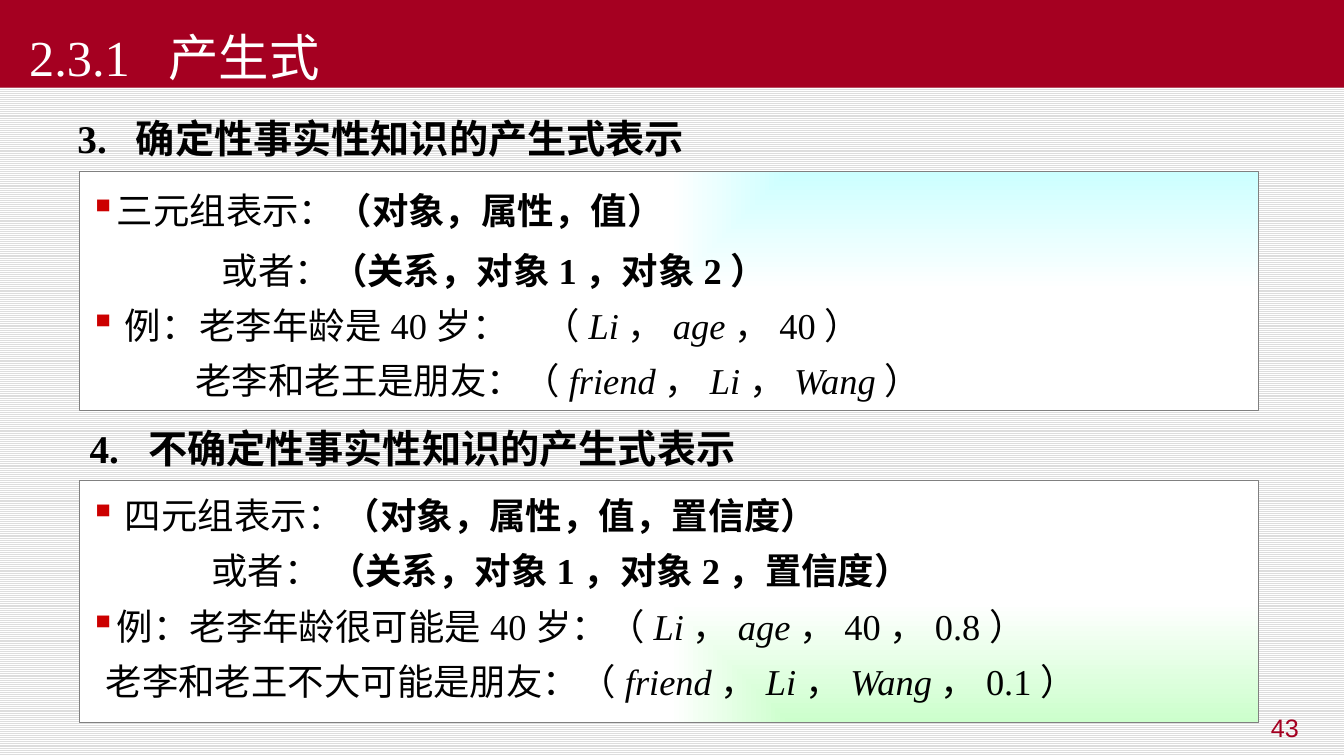
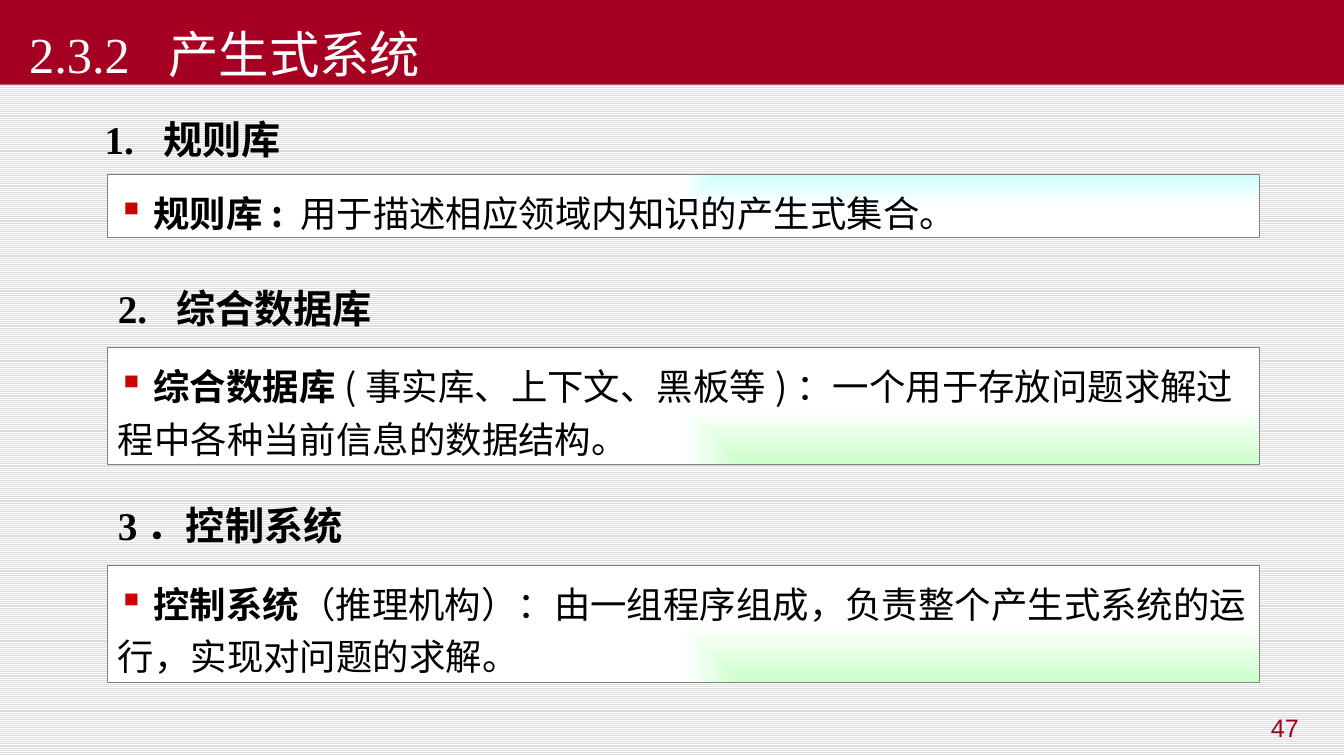
from dataclasses import dataclass

from lxml.etree import SubElement
from pptx import Presentation
from pptx.dml.color import RGBColor
from pptx.enum.dml import MSO_PATTERN
from pptx.enum.shapes import MSO_SHAPE as Shape
from pptx.enum.text import MSO_ANCHOR as Anchor, PP_ALIGN as Align
from pptx.oxml.ns import qn
from pptx.util import Inches, Pt

CRIMSON = "A50021"
RED = "CC0000"
CYAN = "CCFFFF"
GREEN = "CCFFCC"
WHITE = "FFFFFF"
BLACK = "000000"
GRAY = "808080"
STRIPE = "DDDDDD"
SERIF = "Times New Roman"
CHINESE = "Noto Sans CJK SC"
SANS = "Arial"
LINE_HEIGHT = 1.2
BODY_SIZE = 26
WIDTH = 13.33


@dataclass
class Line:
    spans: list
    bullet: bool = False
    margin: float = 0
    hang: float = 0
    tabs: tuple = ()
    spacing: float = 1.1


def color(value):
    return RGBColor.from_string(value)


def add_span(para, text, size=BODY_SIZE, face=SERIF, ink=BLACK, bold=False, italic=False):
    span = para.add_run()
    span.text = text
    font = span.font
    font.size = Pt(size)
    font.bold = bold
    font.italic = italic
    font.color.rgb = color(ink)
    font.name = face
    SubElement(font._element, qn("a:ea")).set("typeface", CHINESE)


def format_para(para, line, size):
    para.alignment = Align.LEFT
    para.line_spacing = Pt(round(size * LINE_HEIGHT * line.spacing, 1))
    props = para._p.get_or_add_pPr()
    props.set("marL", str(Inches(line.margin)))
    props.set("indent", str(Inches(-line.hang)))
    if line.bullet:
        tint = SubElement(props, qn("a:buClr"))
        SubElement(tint, qn("a:srgbClr")).set("val", RED)
        SubElement(props, qn("a:buChar")).set("char", "▪")
    else:
        SubElement(props, qn("a:buNone"))
    if line.tabs:
        stops = SubElement(props, qn("a:tabLst"))
        for position in line.tabs:
            stop = SubElement(stops, qn("a:tab"))
            stop.set("pos", str(Inches(position)))
            stop.set("algn", "l")


def set_frame(box, top=0.08, bottom=0.05, anchor=Anchor.TOP):
    frame = box.text_frame
    frame.word_wrap = True
    frame.vertical_anchor = anchor
    frame.margin_top = Inches(top)
    frame.margin_bottom = Inches(bottom)
    return frame


def add_rectangle(page, left, top, width, height):
    box = page.shapes.add_shape(
        Shape.RECTANGLE, Inches(left), Inches(top), Inches(width), Inches(height))
    box.shadow.inherit = False
    return box


def add_title(page, text, height):
    band = add_rectangle(page, 0, 0, WIDTH, height)
    band.fill.solid()
    band.fill.fore_color.rgb = color(CRIMSON)
    band.line.fill.background()
    para = set_frame(band, bottom=0.01, anchor=Anchor.BOTTOM).paragraphs[0]
    format_para(para, Line([], margin=1.57, hang=1.38, spacing=1), 36)
    add_span(para, text, size=36, ink=WHITE)


def add_heading(page, text, left, top, spacing=1.1):
    box = page.shapes.add_textbox(Inches(left), Inches(top), Inches(8.4), Inches(0.6))
    para = set_frame(box).paragraphs[0]
    format_para(para, Line([], margin=0.58, hang=0.58, spacing=spacing), 28)
    add_span(para, text, size=28, bold=True)


def fill_from_corner(box, tint, corner):
    box.fill.gradient()
    for stop, value, position in zip(box.fill.gradient_stops, (tint, WHITE), (0, 1)):
        stop.color.rgb = color(value)
        stop.position = position
    gradient = box._element.spPr.find(qn("a:gradFill"))
    gradient.remove(gradient.find(qn("a:lin")))
    focus = SubElement(gradient, qn("a:path"))
    focus.set("path", "rect")
    target = SubElement(focus, qn("a:fillToRect"))
    for side in corner:
        target.set(side, "100000")


def add_panel(page, left, top, width, height, tint, lines, face=SERIF):
    panel = add_rectangle(page, left, top, width, height)
    fill_from_corner(panel, tint, "lb" if tint == CYAN else "lt")
    panel.line.color.rgb = color(GRAY)
    panel.line.width = Pt(0.75)
    frame = set_frame(panel)
    for index, line in enumerate(lines):
        para = frame.add_paragraph() if index else frame.paragraphs[0]
        format_para(para, line, BODY_SIZE)
        if index:
            para.space_before = Pt(5.2)
        for text, style in line.spans:
            add_span(para, text, face=face, bold=style == "b", italic=style == "i")


def add_number(page, number):
    box = page.shapes.add_textbox(Inches(9.87), Inches(7.02), Inches(3.11), Inches(0.48))
    para = set_frame(box, top=0.05).paragraphs[0]
    para.alignment = Align.RIGHT
    add_span(para, number, size=18, face=SANS, ink=CRIMSON)


def add_page(deck, title, band_height, number):
    page = deck.slides.add_slide(deck.slide_layouts[6])
    add_title(page, title, band_height)
    add_number(page, number)
    return page


def stripe_background(deck):
    fill = deck.slide_master.background.fill
    fill.patterned()
    fill.pattern = MSO_PATTERN.LIGHT_HORIZONTAL
    fill.fore_color.rgb = color(STRIPE)
    fill.back_color.rgb = color(WHITE)


def build_facts(deck):
    page = add_page(deck, "2.3.1\t产生式", 0.87, "43")
    friends = [("friend", "i"), ("，", ""), ("Li", "i"), ("，", ""), ("Wang", "i")]
    age = [("Li", "i"), ("，", ""), ("age", "i")]
    add_heading(page, "3.\t确定性事实性知识的产生式表示", 0.67, 1.05, spacing=1)
    add_panel(page, 0.79, 1.7, 11.69, 2.37, CYAN, [
        Line([("三元组表示：", ""), ("（对象，属性，值）", "b")],
             bullet=True, margin=0.27, hang=0.27, spacing=1.2),
        Line([("或者：", ""), ("（关系，对象1，对象2）", "b")], margin=1.31, spacing=1.2),
        Line([(" 例：\t老李年龄是40岁：\t（", ""), *age, ("，40）", "")],
             bullet=True, tabs=(1.09, 4.5)),
        Line([("老李和老王是朋友：（", ""), *friends, ("）", "")], margin=1.05),
    ])
    add_heading(page, "4.\t不确定性事实性知识的产生式表示", 0.79, 4.08)
    add_panel(page, 0.79, 4.77, 11.69, 2.4, GREEN, [
        Line([(" 四元组表示：", ""), ("（对象，属性，值，置信度）", "b")], bullet=True),
        Line([("或者： ", ""), ("（关系，对象1，对象2，置信度）", "b")], margin=1.21),
        Line([("例：老李年龄很可能是40岁：（", ""), *age, ("，40，0.8）", "")], bullet=True),
        Line([("老李和老王不大可能是朋友：（", ""), *friends, ("，0.1）", "")], margin=0.16),
    ])


def build_system(deck):
    page = add_page(deck, "2.3.2\t产生式系统", 0.84, "47")
    sections = [
        ("1.\t规则库", 0.94, 1.06, 1, 1.73, 0.63, CYAN,
         " 规则库: ", "用于描述相应领域内知识的产生式集合。"),
        ("2.\t综合数据库", 1.07, 2.69, 1.1, 3.45, 1.16, GREEN,
         " 综合数据库",
         "(事实库、上下文、黑板等)：一个用于存放问题求解过程中各种当前信息的数据结构。"),
        ("3．控制系统", 1.07, 4.85, 1.1, 5.61, 1.16, GREEN,
         " 控制系统",
         "（推理机构）：由一组程序组成，负责整个产生式系统的运行，实现对问题的求解。"),
    ]
    for heading, left, top, spacing, panel_top, height, tint, term, meaning in sections:
        add_heading(page, heading, left, top, spacing)
        line = Line([(term, "b"), (meaning, "")], bullet=True, spacing=1.2)
        add_panel(page, 1.07, panel_top, 11.42, height, tint, [line], face=CHINESE)


def main():
    deck = Presentation()
    deck.slide_width = Inches(WIDTH)
    deck.slide_height = Inches(7.5)
    stripe_background(deck)
    build_facts(deck)
    build_system(deck)
    deck.save("out.pptx")


if __name__ == "__main__":
    main()
